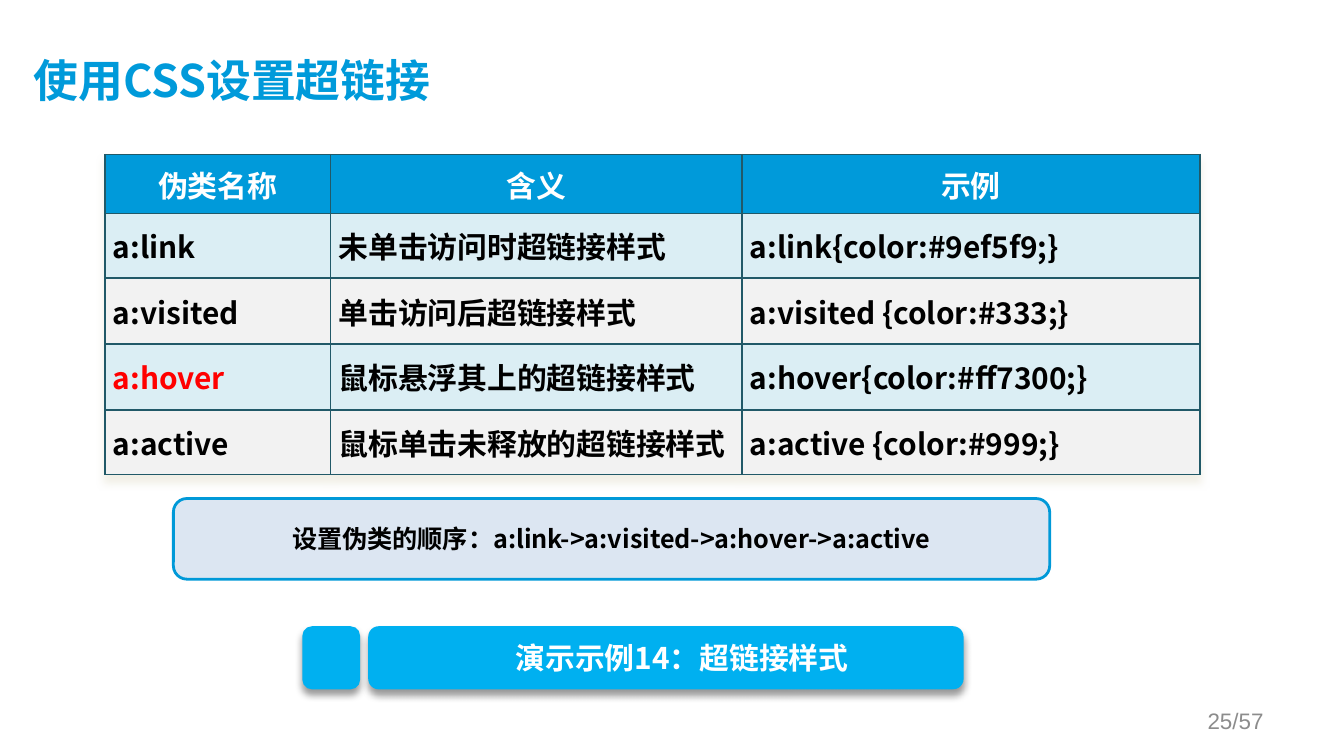
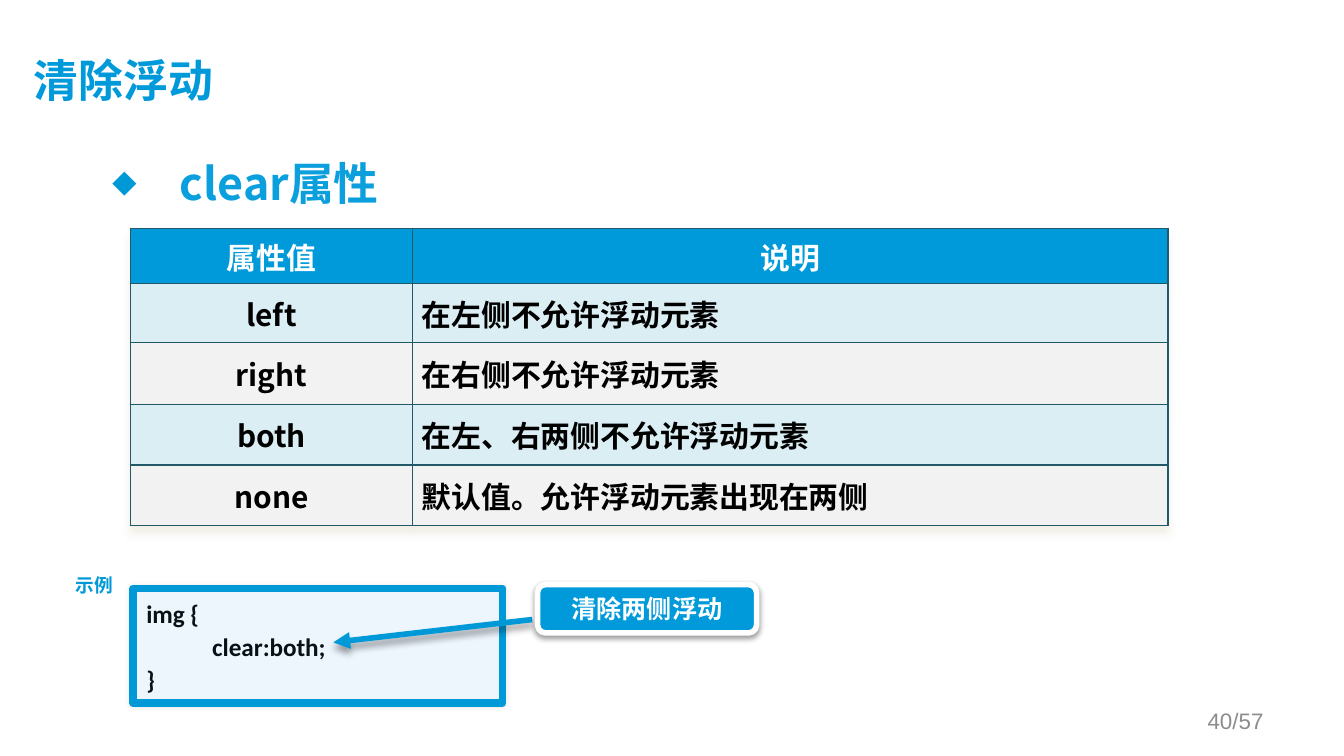
from lxml import etree
from pptx import Presentation
from pptx.dml.color import RGBColor as Rgb
from pptx.enum.shapes import MSO_CONNECTOR as Conn, MSO_SHAPE as Shape
from pptx.enum.text import MSO_ANCHOR as Anchor, PP_ALIGN as Align
from pptx.oxml.ns import qn
from pptx.util import Inches, Pt

HUES = {
    "title": "009ADA", "edge": "0099D8", "head": "0B9FDD", "sky": "00B0F0",
    "odd": "DBEEF4", "even": "F2F2F2", "grid": "215968", "note": "DCE6F2",
    "code": "EDF5FD", "ink": "071215", "page": "8C8C8C", "red": "FF0000",
    "sand": "EEECE1", "black": "000000", "white": "FFFFFF",
}
NOTO, ARIAL, CALI = "Noto Sans CJK SC", "Arial", "Calibri"
TOTAL = 57
WIDE = Inches(10)
HIGH = WIDE * 9 // 16
DROP = ("black", 40, 4, 3, 90)  # colour, opacity %, blur, distance, angle


def hue(name):
    return Rgb.from_string(HUES[name])


def node(root, tag, **attrs):
    """Append a drawing element with the given attributes."""
    return etree.SubElement(root, qn("a:" + tag),
                            {k: str(v) for k, v in attrs.items()})


def inch(box):
    return [Inches(v) for v in box]


# Text
def write(par, text, size, tint, face=NOTO, bold=True, **fmt):
    run = par.add_run()
    run.text = text
    for key, val in {"size": Pt(size), "name": face, "bold": bold}.items():
        setattr(run.font, key, val)
    run.font.color.rgb = hue(tint)
    node(run.font._element, "ea", typeface=NOTO)
    for key, val in fmt.items():
        setattr(par, key, val)


def frame(shape, anchor=Anchor.MIDDLE, wrap=True, pad=(0.1, 0.05, 0.1, 0.05)):
    body = shape.text_frame
    sides = ("margin_left", "margin_top", "margin_right", "margin_bottom")
    fmt = {"word_wrap": wrap, "vertical_anchor": anchor,
           **dict(zip(sides, inch(pad)))}
    for key, val in fmt.items():
        setattr(body, key, val)
    return body


def label(slide, box, text, size, tint, face=NOTO, bold=True,
          align=Align.LEFT, **fit):
    body = frame(slide.shapes.add_textbox(*inch(box)), **fit)
    write(body.paragraphs[0], text, size, tint, face, bold, alignment=align)


# Shapes
def shade(props, tint, alpha, blur, dist, angle):
    for old in props.findall(qn("a:effectLst")):
        props.remove(old)
    list_ = node(props, "effectLst")
    glow = node(list_, "outerShdw", blurRad=Pt(blur), dist=Pt(dist),
                dir=angle * 60000, algn="ctr", rotWithShape=0)
    node(node(glow, "srgbClr", val=HUES[tint]), "alpha", val=alpha * 1000)
    return list_


def panel(slide, box, fill, edge=None, width=1, curve=0.167, shadow=None):
    shape = slide.shapes.add_shape(Shape.ROUNDED_RECTANGLE, *inch(box))
    shape.adjustments[0] = curve
    shape.shadow.inherit = False
    shape.fill.solid()
    shape.fill.fore_color.rgb = hue(fill)
    if edge:
        shape.line.color.rgb = hue(edge)
        shape.line.width = Pt(width)
    else:
        shape.line.fill.background()
    if shadow:
        shade(shape._element.spPr, *shadow)
    return shape


def arrow(slide, start, end):
    line = slide.shapes.add_connector(Conn.STRAIGHT, *inch(start + end))
    line.line.color.rgb = hue("edge")
    line.line.width = Pt(3)
    node(line.line._get_or_add_ln(), "tailEnd", type="triangle")
    shade(line._element.spPr, *DROP)


# Table
def rule(cell):
    """Draw the four borders, which stand before the cell's fill."""
    props = cell._tc.get_or_add_tcPr()
    for pos, side in enumerate(("lnL", "lnR", "lnT", "lnB")):
        line = node(props, side, w=Pt(1))
        node(node(line, "solidFill"), "srgbClr", val=HUES["grid"])
        props.insert(pos, line)


def grid(slide, box, cols, rows, data, pad, mid=(), marks=()):
    table = slide.shapes.add_table(len(rows), len(cols), *inch(box)).table
    table.horz_banding = False
    props = table._tbl.tblPr
    props.insert(0, shade(props, "sand", 80, 4, 4, 90))
    for col, width in zip(table.columns, cols):
        col.width = Inches(width)
    for row, high in zip(table.rows, rows):
        row.height = Inches(high)
    for r, line in enumerate(data):
        band = "title" if r == 0 else ("even", "odd")[r % 2]
        for c, text in enumerate(line):
            cell = table.cell(r, c)
            fmt = {"vertical_anchor": Anchor.MIDDLE,
                   "margin_left": Inches(pad), "margin_right": Inches(pad),
                   "margin_top": 0, "margin_bottom": 0}
            for key, val in fmt.items():
                setattr(cell, key, val)
            cell.fill.solid()
            cell.fill.fore_color.rgb = hue(band)
            rule(cell)
            tint = "white" if r == 0 else "red" if text in marks else "black"
            align = Align.CENTER if r == 0 or c in mid else Align.LEFT
            write(cell.text_frame.paragraphs[0], text, 16, tint,
                  NOTO if r else ARIAL, alignment=align)


# Regions
def start(deck, title, page):
    """Add a slide with the shared title and page number."""
    slide = deck.slides.add_slide(deck.slide_layouts[6])
    label(slide, (0.25, 0.23, 9.01, 0.77), title, 24, "title",
          pad=(0, 0, 0.1, 0.05))
    label(slide, (7.17, 5.21, 2.33, 0.3), f"{page}/{TOTAL}", 12, "page",
          ARIAL, False, Align.RIGHT)
    return slide


def note(slide, box, text):
    body = frame(panel(slide, box, "note", "edge", 1.5))
    write(body.paragraphs[0], text, 13.5, "black", alignment=Align.CENTER)


def banner(slide, box, text):
    x, y, w, h = box
    tab, gap = 0.43, 0.06
    left = tab + gap
    panel(slide, (x, y, tab, h), "sky", shadow=DROP)
    panel(slide, (x + left, y, w - left, h), "sky", shadow=DROP)
    label(slide, (x + 0.73, y + 0.05, w - 0.73, 0.37), text, 16, "white",
          align=Align.CENTER, anchor=Anchor.TOP)


def topic(slide, box, text):
    par = frame(slide.shapes.add_textbox(*inch(box)),
                Anchor.TOP).paragraphs[0]
    props = par._p.get_or_add_pPr()
    props.set("marL", str(Inches(0.5)))
    props.set("indent", str(Inches(-0.5)))
    node(node(props, "buClr"), "srgbClr", val=HUES["edge"])
    node(props, "buSzPct", val=55000)
    node(props, "buFont", typeface=NOTO)
    node(props, "buChar", char="◆")
    write(par, text, 24, "head")


def sample(slide, box, tag, lines, tip):
    """Code box with its tag at the left and a callout at the right."""
    x, y, w, h = box
    body = frame(panel(slide, box, "code", "edge", 4, 0,
                       ("black", 10, 3, 0, 0)), Anchor.TOP)
    for num, text in enumerate(lines):
        par = body.add_paragraph() if num else body.paragraphs[0]
        stops = node(par._p.get_or_add_pPr(), "tabLst")
        node(stops, "tab", pos=Inches(0.49), algn="l")
        write(par, text, 13.5, "ink", CALI, line_spacing=1.1,
              alignment=Align.LEFT)
    arrow(slide, (x + 2.97, y + 0.23), (x + 1.49, y + 0.4))
    label(slide, (x - 0.53, y - 0.16, 0.48, 0.27), tag, 10, "edge", ARIAL,
          align=Align.CENTER, anchor=Anchor.TOP, wrap=False)
    call = panel(slide, (x + 3.01, y - 0.03, 1.63, 0.36), "title", "white", 3,
                 shadow=("black", 38, 3.1, 1.6, 90))
    write(frame(call).paragraphs[0], tip, 13.5, "white", CALI,
          alignment=Align.CENTER)


# Slides
def links(deck):
    slide = start(deck, "使用CSS设置超链接", 25)
    note(slide, (1.29, 3.71, 6.52, 0.6),
         "设置伪类的顺序：a:link->a:visited->a:hover->a:active")
    data = [
        ("伪类名称", "含义", "示例"),
        ("a:link", "未单击访问时超链接样式", "a:link{color:#9ef5f9;}"),
        ("a:visited", "单击访问后超链接样式", "a:visited {color:#333;}"),
        ("a:hover", "鼠标悬浮其上的超链接样式", "a:hover{color:#ff7300;}"),
        ("a:active", "鼠标单击未释放的超链接样式", "a:active {color:#999;}"),
    ]
    grid(slide, (0.78, 1.15, 8.15, 2.37), (1.68, 3.06, 3.41),
         (0.44, 0.48, 0.49, 0.49, 0.48), data, 0.06, marks=("a:hover",))
    banner(slide, (2.25, 4.66, 4.92, 0.47), "演示示例14：超链接样式")


def floats(deck):
    slide = start(deck, "清除浮动", 40)
    topic(slide, (0.74, 1.11, 8.49, 3.71), "clear属性")
    data = [
        ("属性值", "说明"),
        ("left", "在左侧不允许浮动元素"),
        ("right", "在右侧不允许浮动元素"),
        ("both", "在左、右两侧不允许浮动元素"),
        ("none", "默认值。允许浮动元素出现在两侧"),
    ]
    grid(slide, (0.97, 1.7, 7.72, 2.21), (2.1, 5.62),
         (0.41, 0.44, 0.46, 0.45, 0.45), data, 0.07, mid=(0,))
    sample(slide, (0.99, 4.38, 2.75, 0.85), "示例",
           ("img {", "\tclear:both;", "}"), "清除两侧浮动")


def main():
    deck = Presentation()
    deck.slide_width, deck.slide_height = WIDE, HIGH
    links(deck)
    floats(deck)
    deck.save("out.pptx")


if __name__ == "__main__":
    main()
